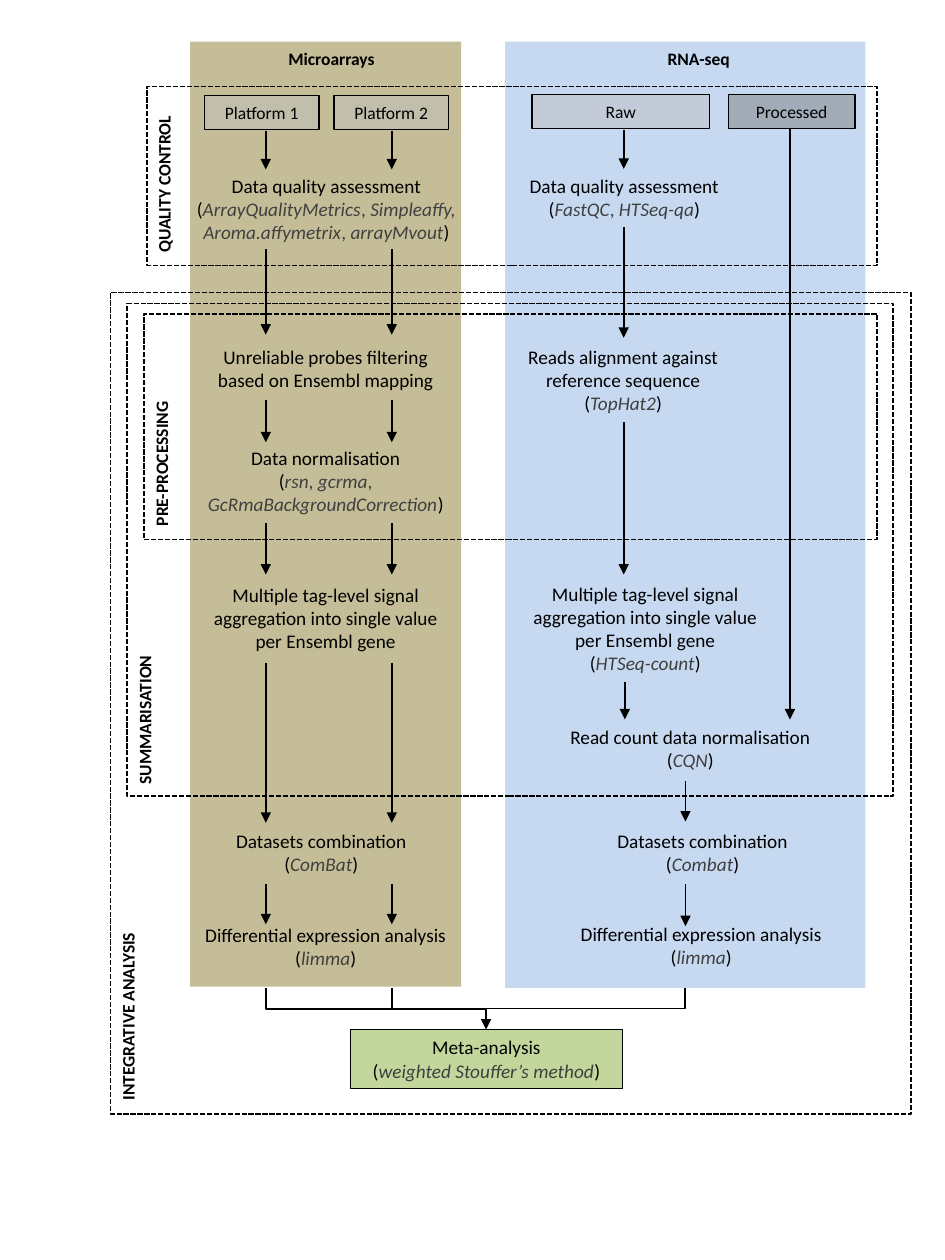
from itertools import product
from pptx import Presentation
from pptx.dml.color import RGBColor
from pptx.enum.dml import MSO_LINE_DASH_STYLE as DASH
from pptx.enum.shapes import MSO_CONNECTOR as CONN, MSO_SHAPE as SHAPE
from pptx.enum.text import MSO_ANCHOR as ANCHOR, PP_ALIGN as ALIGN
from pptx.oxml.ns import qn
from pptx.util import Pt
from lxml.etree import SubElement

BLACK = RGBColor(0, 0, 0)
GREY = RGBColor(0x40, 0x40, 0x40)
TAN = RGBColor(0xC4, 0xBD, 0x97)
BLUE = RGBColor(0xC6, 0xD9, 0xF1)
GREEN = RGBColor(0xC3, 0xD6, 0x9B)
SILVER = RGBColor(0xBF, 0xBF, 0xBF)
STEEL = RGBColor(0x80, 0x80, 0x80)

PANELS = [(BLUE, 288.7, 23.8, 205.9, 540.7), (TAN, 108.7, 23.8, 154.8, 540)]
TITLES = [("Microarrays", 131.8, 23.8, 115.2, 19.4), ("RNA-seq", 352.1, 23.8, 94.3, 19.4)]
FRAMES = [(84.2, 49.5, 417.1, 102.2), (63.2, 167.2, 457.2, 469.4),
          (72.7, 173.4, 437.8, 281.5), (82.3, 179.4, 419, 128.9)]
STAGES = [("QUALITY CONTROL", 42.5, 90.7, 102.2), ("PRE-PROCESSING", 31.7, 237.6, 121),
          ("SUMMARISATION", 26.6, 389.5, 112.3), ("INTEGRATIVE ANALYSIS", 7.2, 560.2, 131.8)]
SOURCES = [("Platform 1", SILVER, 116.8, 54.7, 65.5, 2.88), ("Platform 2", SILVER, 190.8, 54.7, 65.5, 2.88),
           ("Raw", SILVER, 304, 54, 101.5, 7.2), ("Processed", STEEL, 416.2, 54, 72.3, 7.2)]
META = ("Meta-analysis\n(*weighted Stouffer’s method*)", 200.2, 588.2, 155.5, 33.8)

MICRO_X, MICRO_W = 108.7, 154.8
STEPS = [
    ("Data quality assessment (*ArrayQualityMetrics*, *Simpleaffy, Aroma.affymetrix*, *arrayMvout*)",
     103, 95.8, 167, 60.5),
    ("Unreliable probes filtering based on Ensembl mapping", MICRO_X, 193.7, MICRO_W, 47.5),
    ("Data normalisation\n(*rsn*, *gcrma*, *GcRmaBackgroundCorrection*)", MICRO_X, 251.5, MICRO_W, 47.5),
    ("Multiple tag-level signal aggregation into single value per Ensembl gene",
     MICRO_X, 329.8, MICRO_W, 56.2),
    ("Datasets combination\n(*ComBat*)", 103.7, 470.2, 159.8, 33.8),
    ("Differential expression analysis (*limma*)", MICRO_X, 524.2, MICRO_W, 33.8),
    ("Data quality assessment (*FastQC*, *HTSeq-qa*)", 290.9, 95.8, 131.8, 33.8),
    ("Reads alignment against reference sequence (*TopHat2*)", 290.2, 193.7, 131.8, 47.5),
    ("Multiple tag-level signal aggregation into single value\nper Ensembl gene\n(*HTSeq-count*)",
     290.2, 329.2, 157, 60.5),
    ("Read count data normalisation\n(*CQN*)", 296.6, 411.1, 195.8, 33.8),
    ("Datasets combination\n(*Combat*)", 311.8, 470.2, 179.3, 42.5),
    ("Differential expression analysis (*limma*)", 323.3, 523.6, MICRO_W, 33.8)]

ARROWS = [
    ((151.9, 223.9), [(74.6, 96.8), (142.2, 191.2), (228.7, 252.7), (298.8, 328.3), (378.7, 470.2), (505, 528.2)]),
    ((356.4,), [(74.2, 96.5), (129.6, 193), (241.2, 328.3)]),
    ((357.1,), [(389.5, 411.1)]),
    ((391.7,), [(446.4, 469.4), (505.4, 529.2)]),
    ((451.4,), [(73.4, 411.1)])]
ELBOWS = [(151.9, 564.5, 223.9, 576.4, 0, 0, False), (223.9, 564.5, 277.2, 576.4, 0, 0, False),
          (322.7, 519.5, 346.5, 633.2, 90, 50000, True)]

prs = Presentation()
prs.slide_width, prs.slide_height = Pt(540), Pt(720)
s = prs.slides.add_slide(prs.slide_layouts[6])


def write(sp, text, size, align=ALIGN.CENTER, bold=False, inset=7.2, anchor=ANCHOR.TOP):
    tf = sp.text_frame
    frame = {"word_wrap": True, "vertical_anchor": anchor, "margin_left": Pt(inset),
             "margin_right": Pt(inset), "margin_top": Pt(3.6), "margin_bottom": Pt(3.6)}
    for name, value in frame.items():
        setattr(tf, name, value)
    for i, line in enumerate(text.split("\n")):
        p = tf.paragraphs[0] if i == 0 else tf.add_paragraph()
        p.alignment = align
        parts = line.split("*")
        for j, part in enumerate(parts):
            r = p.add_run()
            r.text = part
            inner = 0 < j < len(parts) - 1
            font = {"name": "Calibri", "size": Pt(size), "bold": bold, "italic": j % 2 == 1}
            for name, value in font.items():
                setattr(r.font, name, value)
            r.font.color.rgb = GREY if inner else BLACK


def text_box(text, x, y, w, h, size, **style):
    sp = s.shapes.add_textbox(Pt(x), Pt(y), Pt(w), Pt(h))
    write(sp, text, size, **style)
    return sp


def rect(x, y, w, h, fill=None, line=0, dash=None, alpha=None):
    sp = s.shapes.add_shape(SHAPE.RECTANGLE, Pt(x), Pt(y), Pt(w), Pt(h))
    sp.shadow.inherit = False
    if fill is None:
        sp.fill.background()
    else:
        sp.fill.solid()
        sp.fill.fore_color.rgb = fill
    if alpha:
        color = next(sp.element.spPr.iter(qn("a:srgbClr")))
        SubElement(color, qn("a:alpha")).set("val", str(alpha * 1000))
    if line:
        sp.line.color.rgb = BLACK
        sp.line.width = Pt(line)
        if dash:
            sp.line.dash_style = dash
    else:
        sp.line.fill.background()
    return sp


def connect(kind, x1, y1, x2, y2, arrow=True):
    c = s.shapes.add_connector(kind, Pt(x1), Pt(y1), Pt(x2), Pt(y2))
    c.line.color.rgb = BLACK
    c.line.width = Pt(1)
    if arrow:
        SubElement(c.line._get_or_add_ln(), qn("a:tailEnd")).set("type", "triangle")
    SubElement(c._element.spPr, qn("a:effectLst"))
    return c


for fill, *box in PANELS:
    rect(*box, fill=fill)
for title, *box in TITLES:
    text_box(title, *box, 10, bold=True)
for box in FRAMES:
    rect(*box, line=1, dash=DASH.SQUARE_DOT)
for stage, x, y, w in STAGES:
    text_box(stage, x, y, w, 19.4, 10, align=ALIGN.LEFT, bold=True).rotation = 270
for label, fill, x, y, w, inset in SOURCES:
    sp = rect(x, y, w, 19.4, fill=fill, line=0.75, alpha=50)
    write(sp, label, 10, inset=inset, anchor=ANCHOR.MIDDLE)
for step, *box in STEPS:
    text_box(step, *box, 11, inset=2.88 if "HTSeq-count" in step else 7.2)
for xs, spans in ARROWS:
    for x, (top, bottom) in product(xs, spans):
        connect(CONN.STRAIGHT, x, top, x, bottom)
for x1, y1, x2, y2, turn, bend, arrow in ELBOWS:
    c = connect(CONN.ELBOW, x1, y1, x2, y2, arrow)
    c._element.spPr.find(qn("a:xfrm")).set("rot", str(turn * 60000))
    guide = SubElement(next(c._element.iter(qn("a:avLst"))), qn("a:gd"))
    guide.set("name", "adj1")
    guide.set("fmla", f"val {bend}")
label, *box = META
write(rect(*box, fill=GREEN, line=0.75), label, 11, anchor=ANCHOR.MIDDLE)

prs.save("out.pptx")
